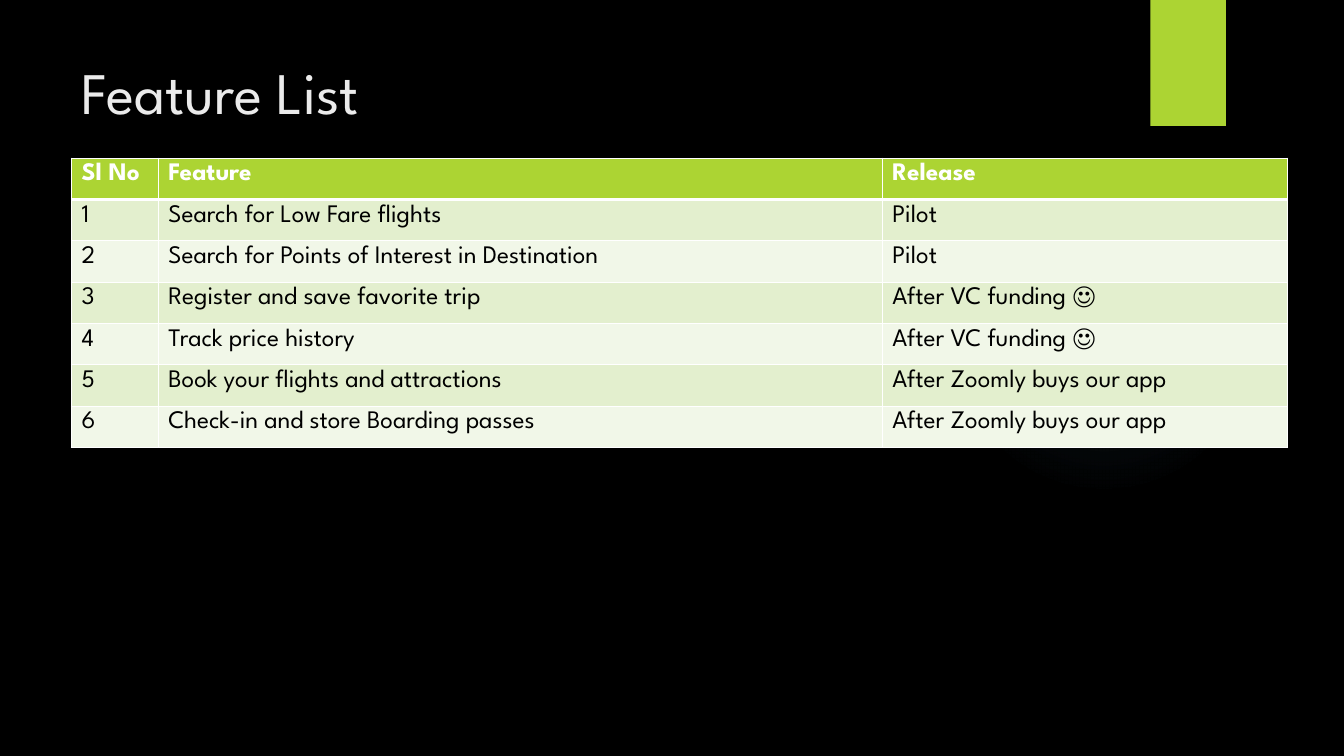
import pptx
import pptx.dml.color
import pptx.enum.shapes
import pptx.enum.text
import pptx.oxml
import pptx.oxml.ns
import pptx.util

Inches = pptx.util.Inches
Pt = pptx.util.Pt
SHAPE = pptx.enum.shapes.MSO_SHAPE
ANCHOR = pptx.enum.text.MSO_ANCHOR

HEADERS = ["Sl No", "Feature", "Release"]
FEATURES = [
    ("Search for Low Fare flights", "Pilot"),
    ("Search for Points of Interest in Destination", "Pilot"),
    ("Register and save favorite trip", "After VC funding ☺"),
    ("Track price history", "After VC funding ☺"),
    ("Book your flights and attractions", "After Zoomly buys our app"),
    ("Check-in and store Boarding passes", "After Zoomly buys our app"),
]


def rgb(color):
    return pptx.dml.color.RGBColor.from_string(color)


class Deck:
    FONT = "League Spartan"
    GREEN = "ACD433"
    WHITE = "FFFFFF"
    BANDS = ["E3EFCE", "F1F7E8"]

    def __init__(self, width, height):
        self.prs = pptx.Presentation()
        self.prs.slide_width = Inches(width)
        self.prs.slide_height = Inches(height)

    def add_slide(self, color):
        self.s = self.prs.slides.add_slide(self.prs.slide_layouts[6])
        fill = self.s.background.fill
        fill.solid()
        fill.fore_color.rgb = rgb(color)

    def add_text(self, tf, text, color, **formats):
        p = tf.paragraphs[0]
        r = p.add_run()
        r.text = text
        for name, value in {"name": self.FONT, **formats}.items():
            setattr(r.font, name, value)
        r.font.color.rgb = rgb(color)

    def shape(self, kind, box, color):
        sp = self.s.shapes.add_shape(kind, *map(Inches, box))
        sp.shadow.inherit = False
        sp.line.fill.background()
        sp.fill.solid()
        sp.fill.fore_color.rgb = rgb(color)
        return sp

    def glow(self, box, color, stops):
        """Ellipse with a radial gradient; stops are (position, opacity) in percent."""
        sp = self.shape(SHAPE.OVAL, box, color)
        marks = "".join(
            f'<a:gs pos="{pos * 1000}"><a:srgbClr val="{color}">'
            f'<a:alpha val="{alpha * 1000}"/></a:srgbClr></a:gs>'
            for pos, alpha in stops)
        grad = pptx.oxml.parse_xml(
            f'<a:gradFill {pptx.oxml.ns.nsdecls("a")}><a:gsLst>{marks}</a:gsLst>'
            '<a:path path="circle"><a:fillToRect l="50000" t="50000" r="50000" b="50000"/>'
            '</a:path></a:gradFill>')
        spPr = sp.element.spPr
        spPr.replace(spPr.find(pptx.oxml.ns.qn("a:solidFill")), grad)

    def title(self, box, text, color):
        tf = self.s.shapes.add_textbox(*map(Inches, box)).text_frame
        for name, value in {"word_wrap": True, "vertical_anchor": ANCHOR.TOP}.items():
            setattr(tf, name, value)
        self.add_text(tf, text, color, size=Pt(42))

    def borders(self, cell, widths):
        """Draw white borders; widths maps the sides L, R, T, B to points."""
        tcPr = cell._tc.get_or_add_tcPr()
        for side, width in widths.items():
            tcPr.append(pptx.oxml.parse_xml(
                f'<a:ln{side} {pptx.oxml.ns.nsdecls("a")} w="{Pt(width)}">'
                f'<a:solidFill><a:srgbClr val="{self.WHITE}"/></a:solidFill></a:ln{side}>'))

    def table(self, left, top, widths, row_height, rows):
        frame = self.s.shapes.add_table(
            len(rows), len(widths), Inches(left), Inches(top),
            Inches(sum(widths)), Inches(row_height * len(rows)))
        table = frame.table
        for column, width in zip(table.columns, widths):
            column.width = Inches(width)
        for i, row in enumerate(rows):
            table.rows[i].height = Inches(row_height)
            header = i == 0
            fill = self.GREEN if header else self.BANDS[(i - 1) % 2]
            color = self.WHITE if header else "000000"
            for j, text in enumerate(row):
                cell = table.cell(i, j)
                self.borders(cell, {"L": 1, "R": 1, "T": 3 if i == 1 else 1,
                                    "B": 3 if header else 1})
                cell.fill.solid()
                cell.fill.fore_color.rgb = rgb(fill)
                self.add_text(cell.text_frame, text, color, size=Pt(18), bold=header)


def main():
    deck = Deck(13.33, 7.5)
    deck.add_slide("000000")
    deck.glow((9.41, 1.83, 3.08, 3.08), "7AC4F0", [(0, 7), (36, 6), (69, 0), (100, 0)])
    deck.shape(SHAPE.RECTANGLE, (11.41, 0, 0.75, 1.25), deck.GREEN)
    deck.title((0.71, 0.5, 10.29, 1.53), "Feature List", "EBEBEB")
    rows = [(str(n), *feature) for n, feature in enumerate(FEATURES, 1)]
    deck.table(0.71, 1.57, [0.86, 7.18, 4.02], 0.41, [HEADERS, *rows])
    deck.prs.save("out.pptx")


if __name__ == "__main__":
    main()
